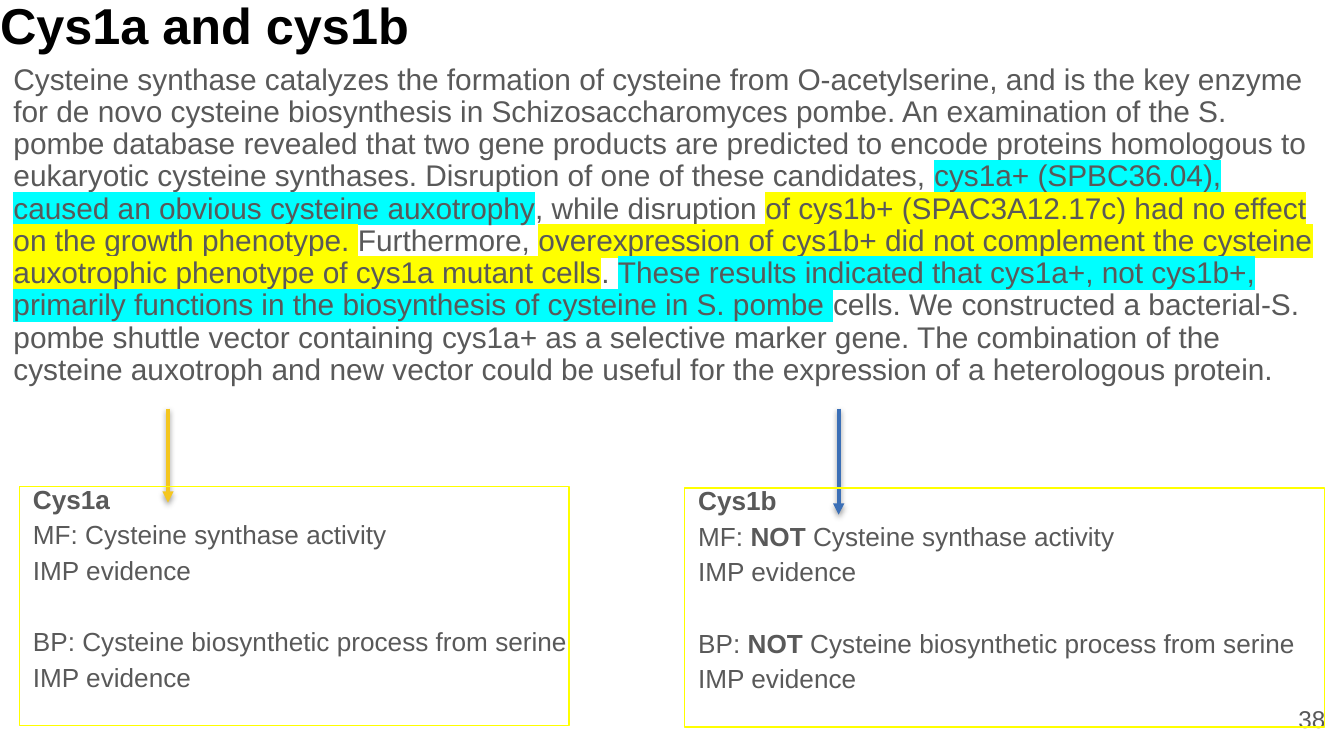
"""Build the slide comparing the cys1a and cys1b annotations."""
from lxml.etree import SubElement
from pptx import Presentation
from pptx.dml.color import RGBColor
from pptx.enum.shapes import MSO_CONNECTOR, MSO_SHAPE
from pptx.enum.text import MSO_ANCHOR, PP_ALIGN
from pptx.oxml import parse_xml
from pptx.oxml.ns import nsdecls, qn
from pptx.util import Inches, Pt

COLORS = {
    "title": "000000", "text": "595959", "cyan": "00FFFF", "yellow": "FFFF00",
    "cys1a": "F4C61F", "cys1b": "3B6FB6", "shadow": "000000",
}
BODY_FORMAT = {"alignment": PP_ALIGN.LEFT, "line_spacing": 0.9}

presentation = Presentation()
presentation.slide_width = Inches(10)
presentation.slide_height = presentation.slide_width * 9 // 16
slide = presentation.slides.add_slide(presentation.slide_layouts[6])
GRID = presentation.slide_width / 100


def place(*cells):
    return [round(cell * GRID) for cell in cells]


def write(shape, paragraphs, size, color="text", indent=1, inset=(0, 0), **paragraph_format):
    frame = shape.text_frame
    across, down = place(*inset)
    frame_format = {
        "word_wrap": True, "vertical_anchor": MSO_ANCHOR.TOP,
        "margin_left": across, "margin_right": across,
        "margin_top": down, "margin_bottom": down,
    }
    for name, value in frame_format.items():
        setattr(frame, name, value)
    for index, (space_before, runs) in enumerate(paragraphs):
        paragraph = frame.paragraphs[0] if index == 0 else frame.add_paragraph()
        for name, value in {**BODY_FORMAT, **paragraph_format, "space_before": Pt(space_before)}.items():
            setattr(paragraph, name, value)
        properties = paragraph._p.get_or_add_pPr()
        properties.set("marL", str(place(indent)[0]))
        properties.set("indent", "0")
        for text, style in runs:
            run = paragraph.add_run()
            run.text = text
            for name, value in {"name": "Arial", "size": Pt(size), "bold": style == "bold"}.items():
                setattr(run.font, name, value)
            run.font.color.rgb = RGBColor.from_string(COLORS[color])
            if style in COLORS:
                run._r.rPr.find(qn("a:solidFill")).addnext(parse_xml(
                    f'<a:highlight {nsdecls("a")}><a:srgbClr val="{COLORS[style]}"/></a:highlight>'))


title = slide.shapes.add_textbox(*place(0, 0.1, 89.2, 6.2))
write(title, [(0, [("Cys1a and cys1b", "bold")])], 27, "title", indent=0)

abstract_runs = [
    ("Cysteine synthase catalyzes the formation of cysteine from O-acetylserine, and is the key "
     "enzyme for de novo cysteine biosynthesis in Schizosaccharomyces pombe. An examination of "
     "the S. pombe database revealed that two gene products are predicted to encode proteins "
     "homologous to eukaryotic cysteine synthases. Disruption of one of these candidates, ", "plain"),
    ("cys1a+ (SPBC36.04), caused an obvious cysteine auxotrophy", "cyan"),
    (", while disruption ", "plain"),
    ("of cys1b+ (SPAC3A12.17c) had no effect on the growth phenotype. ", "yellow"),
    ("Furthermore, ", "plain"),
    ("overexpression of cys1b+ did not complement the cysteine auxotrophic phenotype of cys1a "
     "mutant cells", "yellow"),
    (". ", "plain"),
    ("These results indicated that cys1a+, not cys1b+, primarily functions in the biosynthesis "
     "of cysteine in S. pombe ", "cyan"),
    ("cells. We constructed a bacterial-S. pombe shuttle vector containing cys1a+ as a selective "
     "marker gene. The combination of the cysteine auxotroph and new vector could be useful for "
     "the expression of a heterologous protein.", "plain"),
]
abstract = slide.shapes.add_textbox(*place(0, 4.8, 98.5, 35.7))
write(abstract, [(0, abstract_runs)], 16)

slide_number = slide.shapes.add_textbox(*place(93.6, 51.9, 6, 4.3))
write(slide_number, [(0, [("38", "plain")])], 13, indent=0, inset=(1, 0.5),
      alignment=PP_ALIGN.RIGHT, line_spacing=1)

for gene, column, bottom in (("cys1a", 12.5, 37.4), ("cys1b", 62.4, 38.3)):
    arrow = slide.shapes.add_connector(MSO_CONNECTOR.STRAIGHT, *place(column, 30.4, column, bottom))
    arrow.line.color.rgb = RGBColor.from_string(COLORS[gene])
    arrow.line.width = Pt(2)
    SubElement(arrow.line._get_or_add_ln(), qn("a:tailEnd"), type="triangle")
    arrow._element.spPr.append(parse_xml(
        f'<a:effectLst {nsdecls("a")}><a:outerShdw blurRad="{Pt(3.1)}" dist="{Pt(1.6)}" '
        f'dir="5400000" rotWithShape="0"><a:srgbClr val="{COLORS["shadow"]}">'
        '<a:alpha val="38000"/></a:srgbClr></a:outerShdw></a:effectLst>'))

annotation_boxes = (
    ("Cys1a", (1.45, 36.2, 40.9, 17.8), []),
    ("Cys1b", (50.95, 36.3, 47.6, 17.8), [("NOT", "bold"), (" ", "plain")]),
)
for gene, cells, negation in annotation_boxes:
    box = slide.shapes.add_shape(MSO_SHAPE.RECTANGLE, *place(*cells))
    box.shadow.inherit = False
    box.fill.background()
    box.line.color.rgb = RGBColor.from_string(COLORS["yellow"])
    box.line.width = Pt(0.75)
    paragraphs = [(0, [(gene, "bold")])]
    for space_before, aspect, term in (
        (4, "MF: ", "Cysteine synthase activity"),
        (23, "BP: ", "Cysteine biosynthetic process from serine"),
    ):
        paragraphs.append((space_before, [(aspect, "plain"), *negation, (term, "plain")]))
        paragraphs.append((4, [("IMP evidence", "plain")]))
    write(box, paragraphs, 14)

presentation.save("out.pptx")
